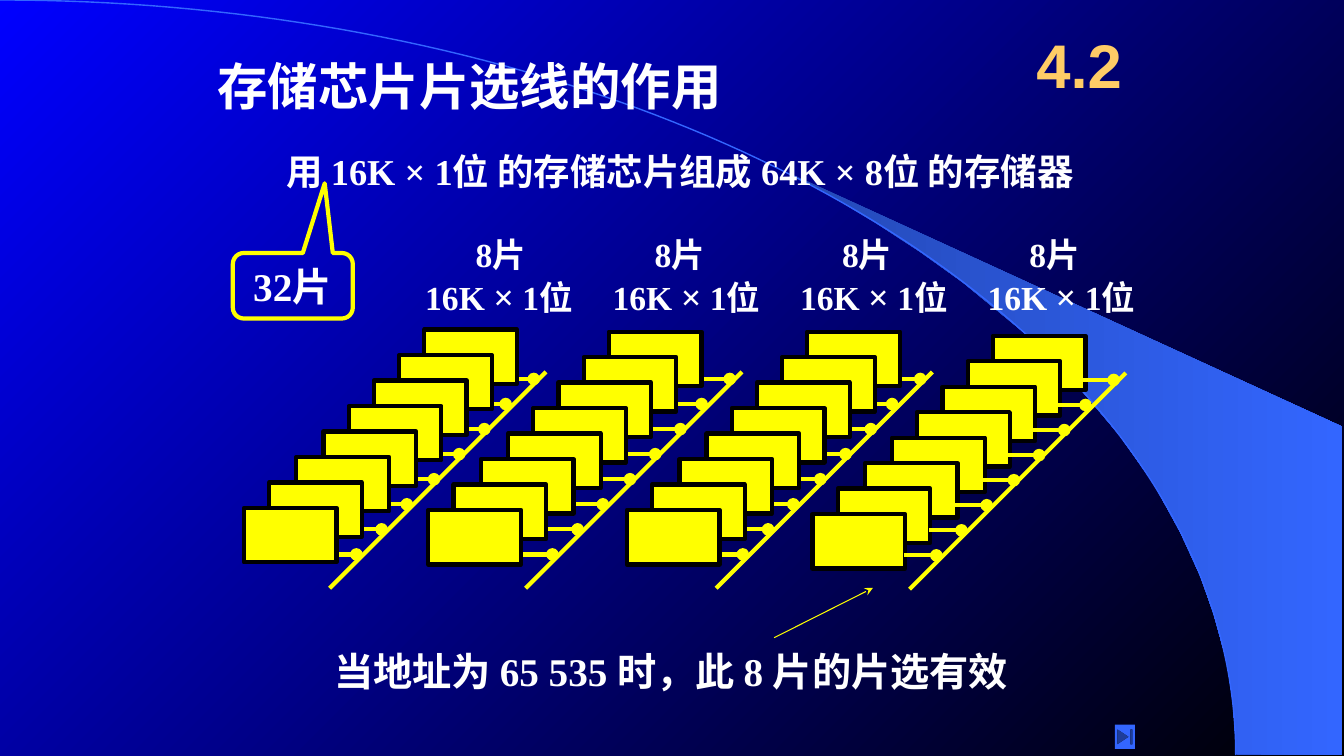
from dataclasses import dataclass
import math

from lxml import etree
from pptx import Presentation
from pptx import util as u
from pptx.dml.color import RGBColor
from pptx.enum import shapes, text
from pptx.oxml import ns

Pt = u.Pt
SHAPE = shapes.MSO_SHAPE


@dataclass(frozen=True)
class Theme:
    white: str = "FFFFFF"
    black: str = "000000"
    yellow: str = "FFFF00"
    gold: str = "FFCC66"
    accent: str = "3366FF"
    accent_dark: str = "2449B6"
    bg_start: str = "0000FF"
    body_font: str = "Times New Roman"
    number_font: str = "Arial"
    title: int = 36
    number: int = 44
    note: int = 28
    lead: int = 26
    label: int = 24
    heavy: float = 3
    thin: float = 0.75


@dataclass(frozen=True)
class Bank:
    """One group of eight chips, its select bus and its label."""
    chip_x: float
    chip_y: float
    bus_x: float
    bus_y: float
    label_indent: float
    bus_in_front: bool = False


T = Theme()
BANKS = [
    Bank(303.1, 235.4, 390, 265.7, 36),
    Bank(434.9, 236.9, 530, 265.7, 30),
    Bank(576.7, 236.9, 666, 265.7, 30),
    Bank(709.2, 239.8, 804.2, 266.4, 30, bus_in_front=True),
]
CHIP_W, CHIP_H, CHIP_PITCH = 66.2, 38.9, 18.2
CHIP_SHIFTS = [0, 18, 36, 54, 72, 91.4, 110.9, 128.9]
BUS_SPAN, STUB_LENGTH, STUB_DROP, STUB_PITCH = 154.5, 23, 5, 17.9
STUB_SHIFTS = [31.7, 51.8, 67, 85, 103, 122.4, 140.4, 158.4]
LABEL_X, LABEL_Y, LABEL_PITCH = 296.6, 163.4, 133.9
ARC_W, ARC_H, ARC_STEPS = 882.7, 539.3, 90
FAN = [
    (883.4, 538.6), (958.3, 539.3), (958.3, 304.6), (565.9, 124.6),
    (599, 143.3), (626.4, 159.8), (657.4, 180), (687.6, 201.6),
    (731.5, 237.6), (770.4, 276.5), (799.2, 310.3), (823.7, 344.9),
    (843.1, 380.2), (857.5, 411.8), (866.9, 438.5), (876.2, 472.3),
    (880.6, 501.1),
]


def rgb(value: str) -> RGBColor:
    return RGBColor.from_string(value)


def set_gradient(fill, start: str, end: str, angle: float) -> None:
    fill.gradient()
    fill.gradient_angle = angle
    for stop, color, position in zip(fill.gradient_stops, (start, end), (0, 1)):
        stop.color.rgb = rgb(color)
        stop.position = position


def set_line(line, color: str, width: float) -> None:
    line.color.rgb = rgb(color)
    line.width = Pt(width)


def add_outline(s, points: list[tuple[float, float]], close: bool):
    (x, y), *rest = points
    builder = s.shapes.build_freeform(Pt(x), Pt(y))
    builder.add_line_segments([(Pt(px), Pt(py)) for px, py in rest], close=close)
    sp = builder.convert_to_shape()
    sp.shadow.inherit = False
    return sp


def add_block(s, kind, x: float, y: float, w: float, h: float):
    sp = s.shapes.add_shape(kind, Pt(x), Pt(y), Pt(w), Pt(h))
    sp.shadow.inherit = False
    return sp


def add_wire(s, x1: float, y1: float, x2: float, y2: float,
             width: float = T.heavy, tip: str = "") -> None:
    cx = s.shapes.add_connector(shapes.MSO_CONNECTOR.STRAIGHT,
                                Pt(x1), Pt(y1), Pt(x2), Pt(y2))
    set_line(cx.line, T.yellow, width)
    if tip:
        etree.SubElement(cx.line._get_or_add_ln(), ns.qn("a:tailEnd"), type=tip)
    etree.SubElement(cx._element.spPr, ns.qn("a:effectLst"))


def style(p, size: float, color: str = T.white, font: str = T.body_font) -> None:
    p.font.name = font
    p.font.size = Pt(size)
    p.font.bold = True
    p.font.color.rgb = rgb(color)


def add_text(s, x: float, y: float, w: float, h: float, words: str,
             size: float, wrap: bool = True):
    tf = s.shapes.add_textbox(Pt(x), Pt(y), Pt(w), Pt(h)).text_frame
    tf.word_wrap = wrap
    p = tf.paragraphs[0]
    p.text = words
    style(p, size)
    return tf


def add_bus(s, bank: Bank) -> None:
    x, y = bank.bus_x, bank.bus_y
    add_wire(s, x, y, x - BUS_SPAN, y + BUS_SPAN)
    for i, shift in enumerate(STUB_SHIFTS):
        stub_y = y + STUB_DROP + i * STUB_PITCH
        add_wire(s, x - shift, stub_y, x - shift + STUB_LENGTH, stub_y, tip="oval")


def add_chips(s, bank: Bank) -> None:
    for i, shift in enumerate(CHIP_SHIFTS):
        sp = add_block(s, SHAPE.RECTANGLE, bank.chip_x - shift,
                       bank.chip_y + i * CHIP_PITCH, CHIP_W, CHIP_H)
        sp.fill.solid()
        sp.fill.fore_color.rgb = rgb(T.yellow)
        set_line(sp.line, T.black, T.heavy)


def add_label(s, index: int, bank: Bank) -> None:
    tf = add_text(s, LABEL_X + index * LABEL_PITCH, LABEL_Y, 140, 67, "8片", T.label)
    tf.paragraphs[0]._p.get_or_add_pPr().set("marL", str(Pt(bank.label_indent)))
    p = tf.add_paragraph()
    style(p, T.label)
    for words, size in (("16K ", T.label), ("×", T.lead), (" 1位", T.label)):
        r = p.add_run()
        r.text = words
        r.font.size = Pt(size)


def main() -> None:
    prs = Presentation()
    prs.slide_width, prs.slide_height = Pt(960), Pt(540)
    s = prs.slides.add_slide(prs.slide_layouts[6])

    # Background, fan and arc
    set_gradient(s.background.fill, T.bg_start, T.black, 315)
    fan = add_outline(s, FAN, close=True)
    set_gradient(fan.fill, T.accent_dark, T.accent, 0)
    fan.line.fill.background()
    angles = [math.pi / 2 * i / ARC_STEPS for i in range(ARC_STEPS + 1)]
    arc = add_outline(s, [(ARC_W * math.sin(a), ARC_H * (1 - math.cos(a)))
                          for a in angles], close=False)
    arc.fill.background()
    set_line(arc.line, T.accent, 1)

    # Title, section number and task
    add_text(s, 148.3, 36, 375.8, 50.4, "存储芯片片选线的作用", T.title, wrap=False)
    add_text(s, 197.3, 103, 612.7, 38.2,
             "用 16K × 1位 的存储芯片组成 64K × 8位 的存储器", T.lead)
    tf = add_text(s, 725.8, 12.2, 90, 66.2, "4.2", T.number)
    tf.vertical_anchor = text.MSO_ANCHOR.MIDDLE
    p = tf.paragraphs[0]
    p.alignment = text.PP_ALIGN.CENTER
    style(p, T.number, T.gold, T.number_font)

    # Chip banks with their buses and labels
    for bank in BANKS:
        if not bank.bus_in_front:
            add_bus(s, bank)
    for i, bank in enumerate(BANKS):
        add_chips(s, bank)
        if bank.bus_in_front:
            add_bus(s, bank)
        add_label(s, i, bank)

    # Chip count callout
    sp = add_block(s, SHAPE.ROUNDED_RECTANGULAR_CALLOUT, 166.3, 180.7, 85.7, 46.8)
    for i, value in enumerate((0.266, -1.564, 0.167)):
        sp.adjustments[i] = value
    sp.fill.background()
    set_line(sp.line, T.yellow, T.heavy)
    tf = sp.text_frame
    tf.margin_left, tf.margin_right = Pt(12.3), Pt(0)
    tf.vertical_anchor = text.MSO_ANCHOR.MIDDLE
    p = tf.paragraphs[0]
    p.text = "32片"
    p.alignment = text.PP_ALIGN.LEFT
    style(p, T.note)

    # Address note with its arrow
    add_text(s, 231.8, 458.6, 518.4, 41, "当地址为 65 535 时，此 8 片的片选有效", T.note)
    add_wire(s, 553, 455.5, 623.5, 420, T.thin, "stealth")

    # Navigation button
    button = add_block(s, SHAPE.ACTION_BUTTON_END, 796.3, 517.7, 14.4, 17.3)
    button.fill.solid()
    button.fill.fore_color.rgb = rgb(T.accent)
    button.line.fill.background()

    prs.save("out.pptx")


if __name__ == "__main__":
    main()
